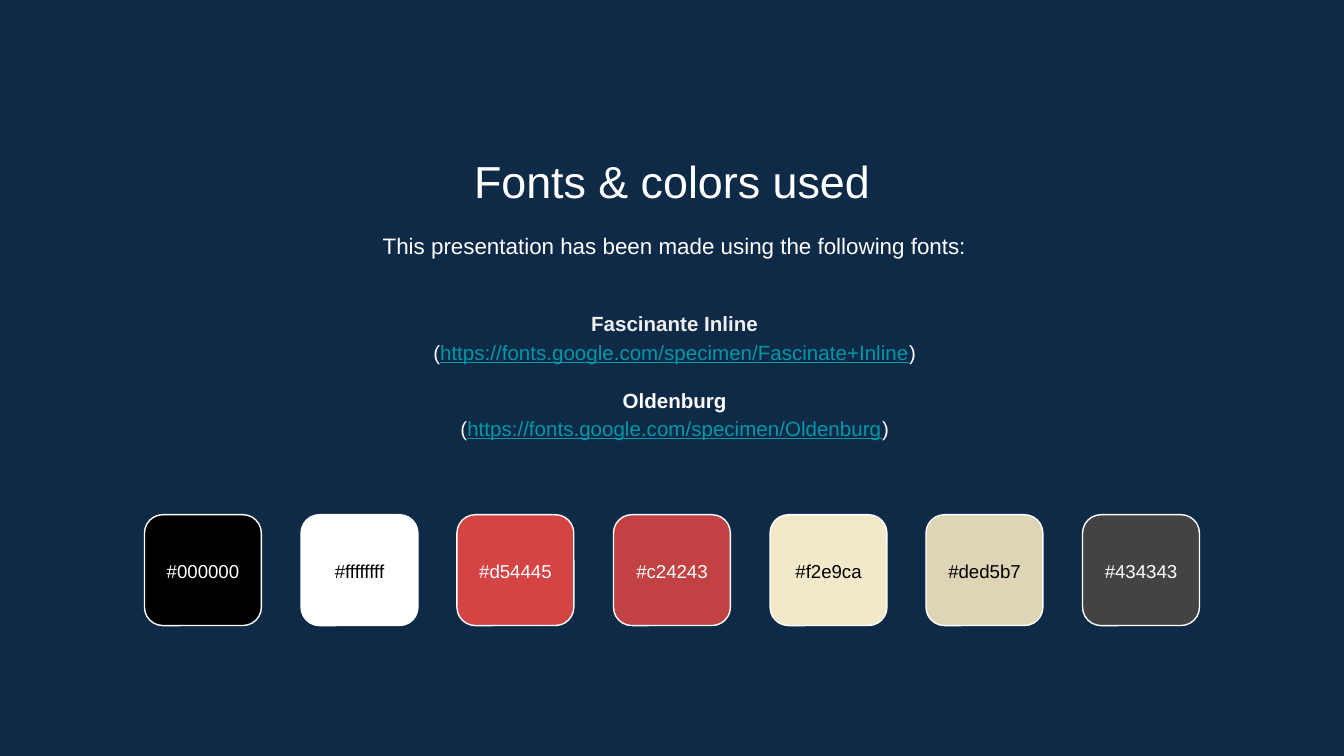
from dataclasses import dataclass

from pptx import Presentation
from pptx.dml.color import RGBColor
from pptx.enum.shapes import MSO_SHAPE
from pptx.enum.text import MSO_ANCHOR, PP_ALIGN
from pptx.util import Emu, Pt

ROUNDED = MSO_SHAPE.ROUNDED_RECTANGLE
CENTER = PP_ALIGN.CENTER
TOP, MIDDLE = MSO_ANCHOR.TOP, MSO_ANCHOR.MIDDLE

EMU_PER_PX = 4572  # 200 px to the inch
FONT = "Arial"
NAVY, WHITE, BLACK = "0E2A47", "FFFFFF", "000000"
PALE, TEAL = "EFEFEF", "0097A7"


@dataclass
class Run:
    text: str
    color: str = WHITE
    bold: bool = False
    underline: bool = False


@dataclass
class Para:
    runs: list[Run]
    before: float = 0


@dataclass
class Swatch:
    label: str
    fill: str
    ink: str


def px(n: int) -> Emu:
    return Emu(n * EMU_PER_PX)


def rgb(value: str) -> RGBColor:
    return RGBColor.from_string(value)


def add_text(s, x: int, y: int, w: int, h: int, paras: list[Para], *,
             size: int, anchor=TOP, spacing: float = 1.0) -> None:
    tf = s.shapes.add_textbox(px(x), px(y), px(w), px(h)).text_frame
    tf.word_wrap = True
    tf.vertical_anchor = anchor
    tf.margin_left = tf.margin_right = tf.margin_top = tf.margin_bottom = px(20)
    for i, para in enumerate(paras):
        p = tf.add_paragraph() if i else tf.paragraphs[0]
        p.alignment = CENTER
        p.line_spacing = spacing
        if para.before:
            p.space_before = Pt(para.before)
        for run in para.runs:
            r = p.add_run()
            r.text = run.text
            r.font.name = FONT
            r.font.size = Pt(size)
            r.font.bold = run.bold
            r.font.underline = run.underline
            r.font.color.rgb = rgb(run.color)


def link_para(url: str) -> Para:
    return Para([Run("("), Run(url, TEAL, underline=True), Run(")")])


def add_swatch(s, x: int, swatch: Swatch) -> None:
    sp = s.shapes.add_shape(ROUNDED, px(x), px(766), px(174), px(165))
    sp.shadow.inherit = False
    sp.fill.solid()
    sp.fill.fore_color.rgb = rgb(swatch.fill)
    sp.line.color.rgb = rgb(WHITE)
    sp.line.width = Pt(0.75)
    add_text(s, x, 801, 174, 96, [Para([Run(swatch.label, swatch.ink)])],
             size=10, anchor=MIDDLE)


SWATCHES = [
    Swatch("#000000", "000000", WHITE),
    Swatch("#ffffffff", "FFFFFF", BLACK),
    Swatch("#d54445", "D54445", WHITE),
    Swatch("#c24243", "C24243", WHITE),
    Swatch("#f2e9ca", "F2E9CA", BLACK),
    Swatch("#ded5b7", "DED5B7", BLACK),
    Swatch("#434343", "434343", WHITE),
]
FIRST_X, LAST_X = 215, 1611


def main() -> None:
    prs = Presentation()
    prs.slide_width, prs.slide_height = px(2000), px(1125)
    s = prs.slides.add_slide(prs.slide_layouts[6])
    s.background.fill.solid()
    s.background.fill.fore_color.rgb = rgb(NAVY)

    # Title and introduction
    add_text(s, 229, 209, 1542, 106, [Para([Run("Fonts & colors used")])], size=24)
    intro = "This presentation has been made using the following fonts:"
    add_text(s, 233, 319, 1542, 96, [Para([Run(intro)])], size=12, spacing=1.15)

    # Font list
    add_text(s, 233, 420, 1542, 274, [
        Para([Run("Fascinante Inline", PALE, bold=True)]),
        link_para("https://fonts.google.com/specimen/Fascinate+Inline"),
        Para([Run("Oldenburg", bold=True)], before=10.6),
        link_para("https://fonts.google.com/specimen/Oldenburg"),
    ], size=11, anchor=MIDDLE, spacing=1.15)

    # Evenly spaced colour swatches
    pitch = (LAST_X - FIRST_X) / (len(SWATCHES) - 1)
    for i, swatch in enumerate(SWATCHES):
        add_swatch(s, round(FIRST_X + i * pitch), swatch)

    prs.save("out.pptx")


if __name__ == "__main__":
    main()
